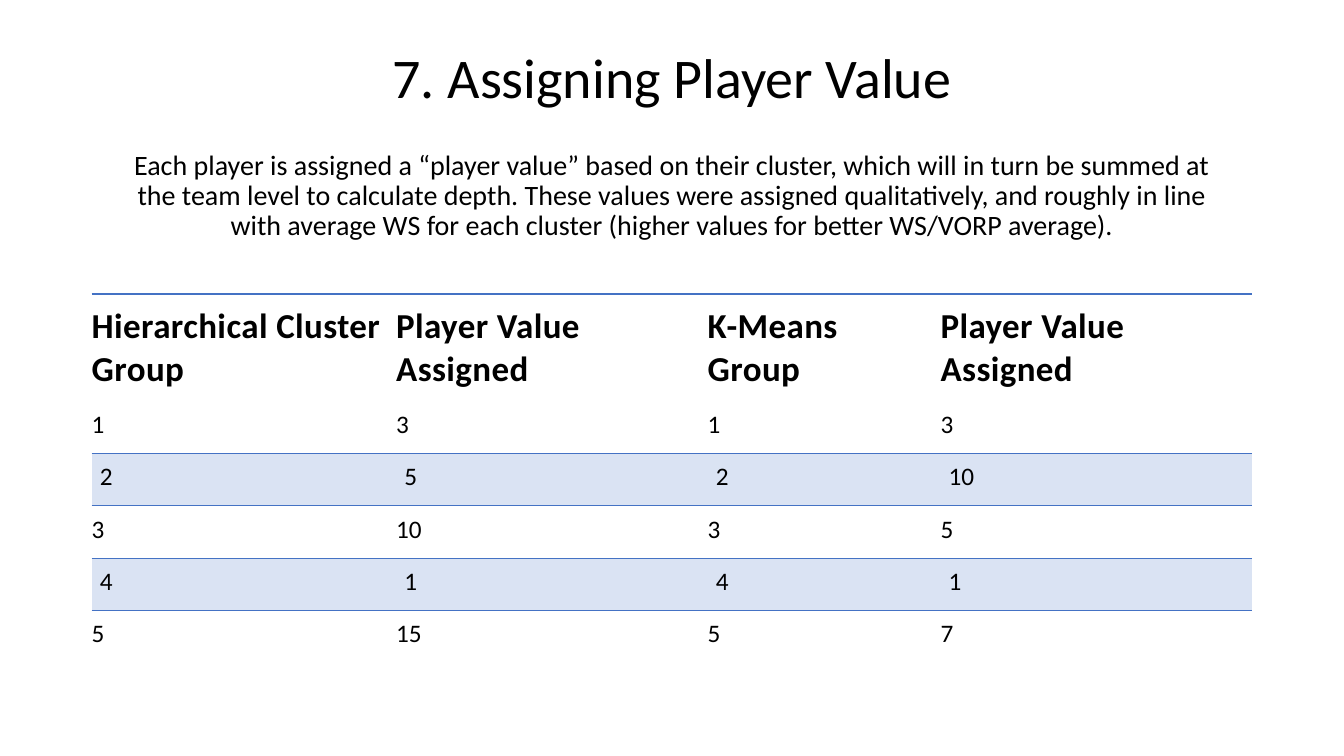
from lxml.etree import SubElement
from pptx import Presentation
from pptx.dml.color import RGBColor
from pptx.enum.text import MSO_ANCHOR, PP_ALIGN
from pptx.oxml.ns import qn
from pptx.util import Inches, Pt

COLORS = {"text": "000000", "rule": "4472C4", "band": "DAE3F3"}
FONT = "Calibri"
PLAIN_TABLE_STYLE = "{2D5ABB26-0587-4C30-8999-92F81FD0307C}"

TITLE = "7. Assigning Player Value"
INTRO = (
    "Each player is assigned a “player value” based on their cluster, which will "
    "in turn be summed at the team level to calculate depth. These values were "
    "assigned qualitatively, and roughly in line with average WS for each cluster "
    "(higher values for better WS/VORP average)."
)
VALUES = [
    ["Hierarchical Cluster Group", "Player Value Assigned",
     "K-Means Group", "Player Value Assigned"],
    ["1", "3", "1", "3"],
    ["2", "5", "2", "10"],
    ["3", "10", "3", "5"],
    ["4", "1", "4", "1"],
    ["5", "15", "5", "7"],
]
COLUMN_WIDTHS = [3.02, 3.09, 2.31, 3.09]
ROW_HEIGHTS = [1.06] + [0.52] * 5


def add_run(paragraph, text, size, bold=False):
    run = paragraph.add_run()
    run.text = text
    run.font.name = FONT
    run.font.size = Pt(size)
    run.font.bold = bold
    run.font.color.rgb = RGBColor.from_string(COLORS["text"])
    return run


def write_centered(frame, text, size):
    frame.word_wrap = True
    frame.vertical_anchor = MSO_ANCHOR.MIDDLE
    paragraph = frame.paragraphs[0]
    paragraph.alignment = PP_ALIGN.CENTER
    paragraph.line_spacing = 0.9
    add_run(paragraph, text, size)


def add_title(slide, left, top, width, height):
    title = slide.shapes.title
    title.left, title.top = Inches(left), Inches(top)
    title.width, title.height = Inches(width), Inches(height)
    write_centered(title.text_frame, TITLE, 40)


def add_intro(slide, left, top, width, height):
    intro = slide.shapes.add_textbox(
        Inches(left), Inches(top), Inches(width), Inches(height))
    # The deeper bottom inset lifts the text towards the title
    intro.text_frame.margin_top = 0
    intro.text_frame.margin_bottom = Inches(0.31)
    write_centered(intro.text_frame, INTRO, 20)


def add_rule(cell, side, width):
    """Draw one border; side is lnT or lnB."""
    properties = cell._tc.get_or_add_tcPr()
    line = SubElement(properties, qn(f"a:{side}"), w=str(Pt(width)))
    fill = SubElement(line, qn("a:solidFill"))
    SubElement(fill, qn("a:srgbClr"), val=COLORS["rule"])
    properties.insert(0, line)


def format_cell(cell, text, row):
    is_header = row == 0
    is_band = row in (2, 4)
    cell.margin_left = Inches(0.08 if is_band else 0)
    cell.margin_right = Inches(0.02 if is_header else 0.16)
    cell.margin_top = cell.margin_bottom = Inches(0.08)
    cell.vertical_anchor = MSO_ANCHOR.MIDDLE if is_header else MSO_ANCHOR.TOP

    run = add_run(cell.text_frame.paragraphs[0], text,
                  25 if is_header else 18, is_header)
    if is_header:
        run.font._element.set("spc", "30")

    if is_band:
        cell.fill.solid()
        cell.fill.fore_color.rgb = RGBColor.from_string(COLORS["band"])
    else:
        cell.fill.background()

    # Rules: above the header and between each plain row and the band below
    if is_header:
        add_rule(cell, "lnT", 1.5)
    elif is_band:
        add_rule(cell, "lnT", 0.75)
    elif row < len(VALUES) - 1:
        add_rule(cell, "lnB", 0.75)


def add_value_table(slide, left, top, width, height):
    table = slide.shapes.add_table(
        len(VALUES), len(COLUMN_WIDTHS),
        Inches(left), Inches(top), Inches(width), Inches(height)).table
    table.first_row = table.horz_banding = False
    table._tbl.tblPr.find(qn("a:tableStyleId")).text = PLAIN_TABLE_STYLE
    for column, column_width in zip(table.columns, COLUMN_WIDTHS):
        column.width = Inches(column_width)
    for row, row_height in zip(table.rows, ROW_HEIGHTS):
        row.height = Inches(row_height)
    for row, texts in enumerate(VALUES):
        for column, text in enumerate(texts):
            format_cell(table.cell(row, column), text, row)


def main():
    presentation = Presentation()
    presentation.slide_width = Inches(13.33)
    presentation.slide_height = Inches(7.5)
    slide = presentation.slides.add_slide(presentation.slide_layouts[5])
    add_title(slide, 1.1, 0.19, 11.13, 1.22)
    add_intro(slide, 1.1, 1.6, 11.13, 1.01)
    add_value_table(slide, 0.91, 2.92, sum(COLUMN_WIDTHS), sum(ROW_HEIGHTS))
    presentation.save("out.pptx")


if __name__ == "__main__":
    main()
